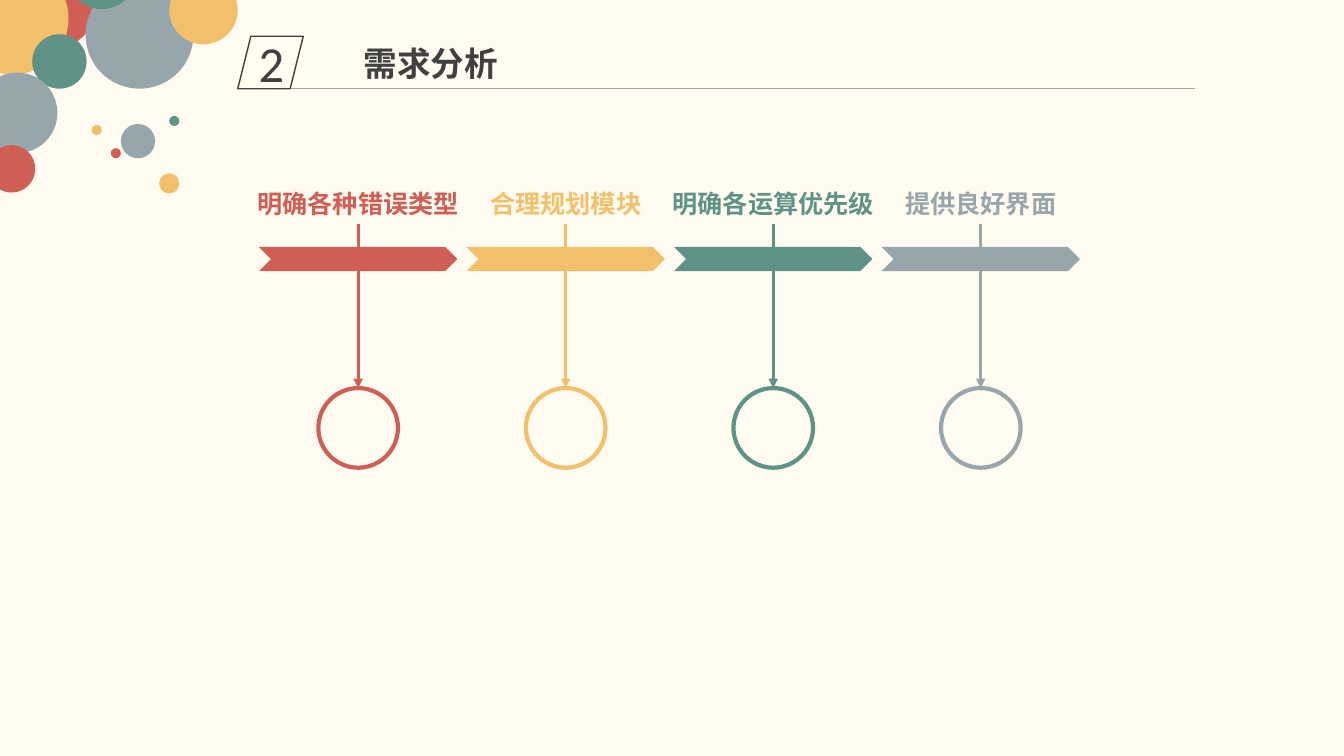
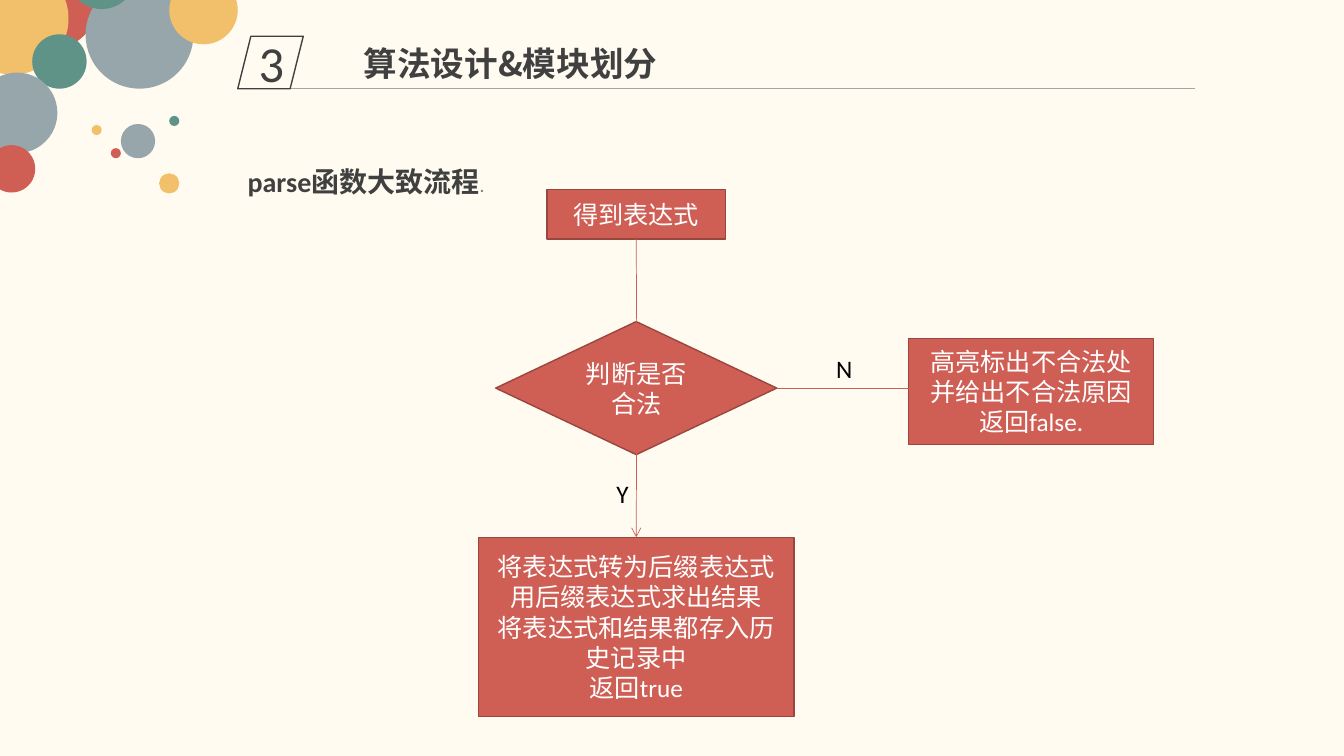
from dataclasses import dataclass
from typing import NamedTuple, Optional

from lxml.etree import SubElement
from pptx import Presentation
from pptx.dml.color import RGBColor
from pptx.enum.shapes import MSO_CONNECTOR as LINE, MSO_SHAPE as SHAPE
from pptx.enum.text import MSO_ANCHOR as ANCHOR, MSO_AUTO_SIZE as FIT, PP_ALIGN as ALIGN
from pptx.oxml.ns import qn
from pptx.util import Inches, Pt


@dataclass(frozen=True)
class Theme:
    paper: RGBColor = RGBColor.from_string("FFFBF0")
    red: RGBColor = RGBColor.from_string("CF5F55")
    yellow: RGBColor = RGBColor.from_string("F2C06B")
    green: RGBColor = RGBColor.from_string("5F9387")
    grey: RGBColor = RGBColor.from_string("97A6AB")
    edge: RGBColor = RGBColor.from_string("99463F")
    ink: RGBColor = RGBColor.from_string("404040")
    rule: RGBColor = RGBColor.from_string("A6A6A6")
    faint: RGBColor = RGBColor.from_string("808080")
    white: RGBColor = RGBColor.from_string("FFFFFF")
    black: RGBColor = RGBColor.from_string("000000")
    body_font: str = "Calibri"
    title_font: str = "Noto Sans CJK SC"
    number: int = 36
    title: int = 24
    heading: int = 20
    body: int = 18
    small: int = 14


T = Theme()


class Box(NamedTuple):
    x: float
    y: float
    w: float
    h: float


class Run(NamedTuple):
    text: str
    size: int = T.body
    color: RGBColor = T.white
    bold: bool = False
    font: str = T.body_font


class Bubble(NamedTuple):
    x: float
    y: float
    d: float
    color: RGBColor


class Stage(NamedTuple):
    label: str
    color: RGBColor


class Step(NamedTuple):
    kind: SHAPE
    box: Box
    lines: tuple[str, ...]


BUBBLES = (
    Bubble(0.04, -0.44, 0.93, T.red),
    Bubble(-0.43, -0.37, 1.11, T.yellow),
    Bubble(0.32, 0.34, 0.54, T.green),
    Bubble(-0.23, 0.72, 0.8, T.grey),
    Bubble(0.85, -0.19, 1.07, T.grey),
    Bubble(0.67, -0.59, 0.68, T.green),
    Bubble(-0.12, 1.44, 0.47, T.red),
    Bubble(1.2, 1.23, 0.34, T.grey),
    Bubble(1.1, 1.47, 0.1, T.red),
    Bubble(0.91, 1.24, 0.1, T.yellow),
    Bubble(1.68, 1.15, 0.1, T.green),
    Bubble(1.58, 1.72, 0.2, T.yellow),
    Bubble(1.68, -0.24, 0.68, T.yellow),
)

STAGES = (
    Stage("明确各种错误类型", T.red),
    Stage("合理规划模块", T.yellow),
    Stage("明确各运算优先级", T.green),
    Stage("提供良好界面", T.grey),
)

START = Step(SHAPE.RECTANGLE, Box(5.43, 1.88, 1.77, 0.49), ("得到表达式",))
CHECK = Step(SHAPE.FLOWCHART_DECISION, Box(4.92, 3.19, 2.79, 1.32), ("判断是否合法",))
ACCEPT = Step(SHAPE.RECTANGLE, Box(4.75, 5.33, 3.13, 1.78), (
    "将表达式转为后缀表达式", "用后缀表达式求出结果",
    "将表达式和结果都存入历史记录中", "返回true"))
REJECT = Step(SHAPE.RECTANGLE, Box(9.02, 3.36, 2.43, 1.05), (
    "高亮标出不合法处", "并给出不合法原因", "返回false."))


# Drawing helpers
def emu(box: Box) -> list:
    return [Inches(v) for v in box]


def add_run(p, run: Run) -> None:
    r = p.add_run()
    r.text = run.text
    r.font.size, r.font.bold = Pt(run.size), run.bold
    r.font.color.rgb = run.color
    r.font.name = run.font
    SubElement(r._r.get_or_add_rPr(), qn("a:ea")).set("typeface", run.font)


def write(tf, paragraphs, align=ALIGN.LEFT, anchor=ANCHOR.TOP, wrap=True) -> None:
    tf.word_wrap, tf.vertical_anchor = wrap, anchor
    for i, runs in enumerate(paragraphs):
        p = tf.add_paragraph() if i else tf.paragraphs[0]
        p.alignment = align
        for run in runs:
            add_run(p, run)


def add_text(s, box: Box, runs, align=ALIGN.LEFT, wrap=True):
    tf = s.shapes.add_textbox(*emu(box)).text_frame
    write(tf, [runs], align, wrap=wrap)
    tf.auto_size = FIT.SHAPE_TO_FIT_TEXT


def add_shape(shapes, kind: SHAPE, box: Box, fill: Optional[RGBColor] = None,
              line: Optional[RGBColor] = None, width: float = 1):
    sp = shapes.add_shape(kind, *emu(box))
    sp.shadow.inherit = False
    if fill is None:
        sp.fill.background()
    else:
        sp.fill.solid()
        sp.fill.fore_color.rgb = fill
    if line is None:
        sp.line.fill.background()
    else:
        sp.line.color.rgb = line
        sp.line.width = Pt(width)
    return sp


def add_line(s, start: tuple, end: tuple, color: RGBColor, width: float,
             head: Optional[str] = None):
    c = s.shapes.add_connector(LINE.STRAIGHT, *[Inches(v) for v in start + end])
    c.line.color.rgb = color
    c.line.width = Pt(width)
    sp_pr = c._element.spPr
    if head:
        SubElement(sp_pr.find(qn("a:ln")), qn("a:tailEnd")).set("type", head)
    SubElement(sp_pr, qn("a:effectLst"))
    return c


# Shared frame: bubbles, rule, number and title
def add_slide(prs, number: str, title: str):
    s = prs.slides.add_slide(prs.slide_layouts[5])
    group = s.shapes.add_group_shape()
    for b in BUBBLES:
        add_shape(group.shapes, SHAPE.OVAL, Box(b.x, b.y, b.d, b.d), b.color)
    add_line(s, (2.84, 0.88), (11.86, 0.88), T.rule, 0.5)
    sp = add_shape(s.shapes, SHAPE.PARALLELOGRAM, Box(2.36, 0.36, 0.65, 0.52), line=T.ink)
    write(sp.text_frame, [[Run(number, T.number, T.ink)]], ALIGN.CENTER, ANCHOR.MIDDLE)

    heading = s.shapes.title
    heading.left, heading.top, heading.width, heading.height = emu(Box(3.51, 0.38, 5.13, 0.5))
    tf = heading.text_frame
    write(tf, [[Run(title, T.title, T.ink, True, T.title_font)]], anchor=ANCHOR.MIDDLE)
    tf.auto_size = FIT.NONE
    tf.paragraphs[0].line_spacing = 1.0
    return s


# Slide: requirements as a row of stages
def requirements(prs) -> None:
    s = add_slide(prs, "2", "需求分析")
    left, pitch, width, ring = 2.57, 2.06, 1.97, 0.79
    for i, stage in enumerate(STAGES):
        x = left + i * pitch
        mid = x + width / 2
        add_shape(s.shapes, SHAPE.CHEVRON, Box(x, 2.45, width, 0.24), stage.color)
        label_w = 0.25 * len(stage.label) + 0.24
        add_text(s, Box(mid - label_w / 2, 1.82, label_w, 0.4),
                 [Run(stage.label, color=stage.color, bold=True)], ALIGN.CENTER, wrap=False)
        circle = add_shape(s.shapes, SHAPE.OVAL, Box(mid - ring / 2, 3.85, ring, ring),
                           line=stage.color, width=3)
        arrow = add_line(s, (mid, 2.22), (mid, 3.85), stage.color, 2.25, "triangle")
        arrow.end_connect(circle, 0)


# Slide: flow chart of the function
def add_step(s, step: Step):
    sp = add_shape(s.shapes, step.kind, step.box, T.red, T.edge)
    write(sp.text_frame, [[Run(t)] for t in step.lines], ALIGN.CENTER, ANCHOR.MIDDLE)
    return sp


def algorithm(prs) -> None:
    s = add_slide(prs, "3", "算法设计&模块划分")
    add_text(s, Box(2.36, 1.58, 3.07, 0.44), [
        Run("parse函数大致流程", T.heading, T.ink, True), Run(".", T.small, T.faint)])
    start, check, accept, _ = [add_step(s, step) for step in (START, CHECK, ACCEPT, REJECT)]

    # Arrows whose other end lies inside a box stay free there
    add_line(s, (6.32, 2.37), (6.32, 3.36), T.red, 0.5, "arrow").begin_connect(start, 2)
    add_line(s, (6.32, 3.97), (6.32, 5.33), T.red, 0.5, "arrow").end_connect(accept, 0)
    add_line(s, (7.71, 3.85), (9.3, 3.85), T.red, 0.5, "arrow").begin_connect(check, 3)

    for text, box in (("N", Box(8.2, 3.46, 0.36, 0.4)), ("Y", Box(6.02, 4.7, 0.32, 0.4))):
        add_text(s, box, [Run(text, color=T.black)], wrap=False)


def main() -> None:
    prs = Presentation()
    prs.slide_width, prs.slide_height = Inches(13.34), Inches(7.5)
    fill = prs.slide_master.background.fill
    fill.solid()
    fill.fore_color.rgb = T.paper
    requirements(prs)
    algorithm(prs)
    prs.save("out.pptx")


if __name__ == "__main__":
    main()
